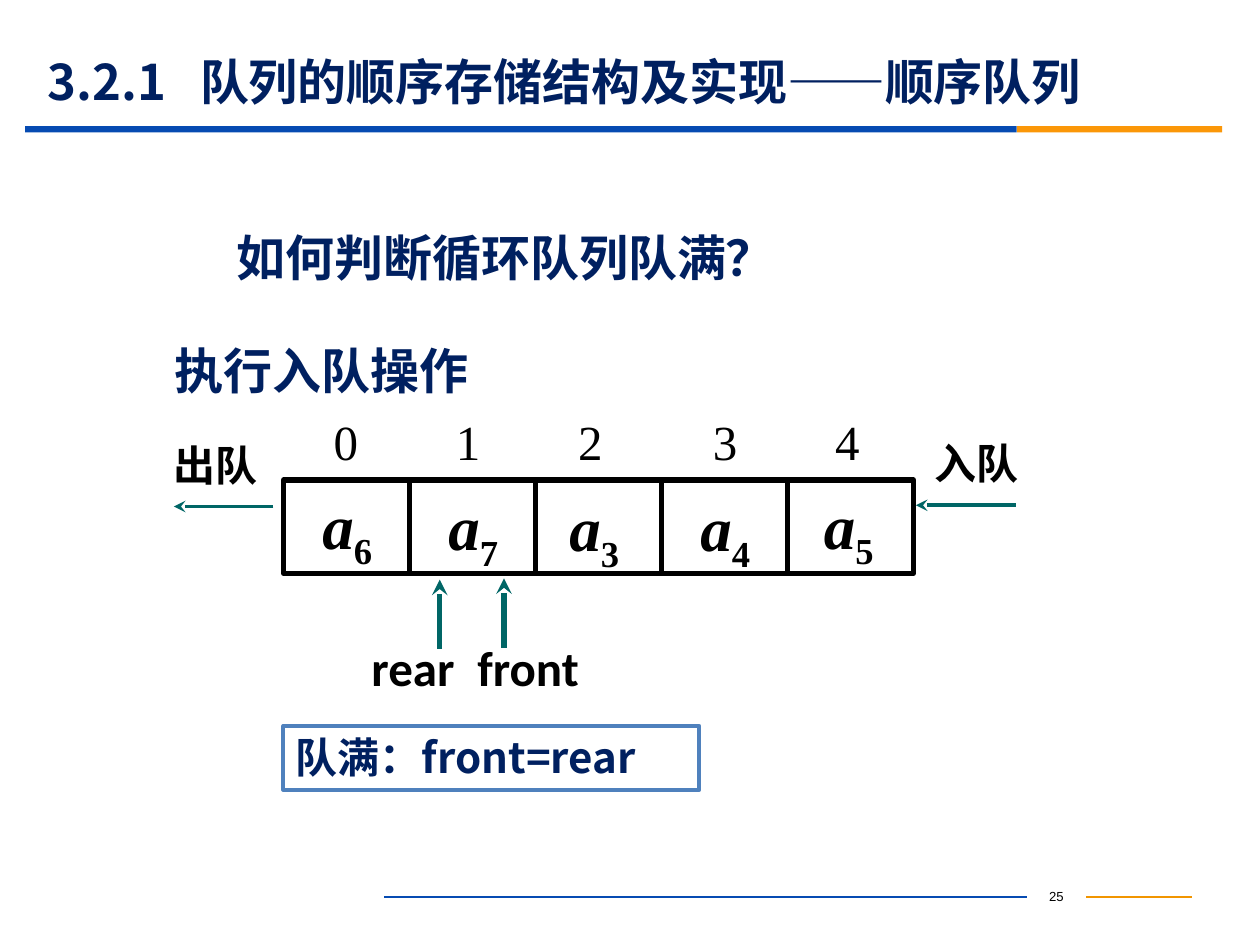
from dataclasses import dataclass
from lxml import etree
from pptx import Presentation
from pptx.dml.color import RGBColor
from pptx.enum.shapes import MSO_CONNECTOR as CONN, MSO_SHAPE as SHAPE
from pptx.enum.text import MSO_ANCHOR as ANCHOR, PP_ALIGN as ALIGN
from pptx.oxml.ns import qn
from pptx.util import Inches, Pt


@dataclass(frozen=True)
class Theme:
    """Colours, fonts and type sizes of the slide."""
    navy: str = "002060"
    blue: str = "064BB2"
    orange: str = "FB9708"
    amber: str = "F19500"
    teal: str = "006666"
    frame: str = "4F81BD"
    black: str = "000000"
    white: str = "FFFFFF"
    cjk: str = "Noto Sans CJK SC"
    serif: str = "Times New Roman"
    sans: str = "Calibri"
    small: str = "Arial"
    head: int = 28
    body: int = 24
    item: int = 36
    page: float = 7.5


T = Theme()


def write(sp, *parts, size=T.head, font=T.cjk, color=T.navy, bold=True,
          align=ALIGN.LEFT, anchor=ANCHOR.TOP, tabs=()):
    """Fill a shape with one paragraph; a part is a text or (text, italic, baseline)."""
    tf = sp.text_frame
    tf.word_wrap = True
    tf.vertical_anchor = anchor
    p = tf.paragraphs[0]
    p.alignment = align
    if tabs:
        tab_list = etree.SubElement(p._p.get_or_add_pPr(), qn("a:tabLst"))
        for pos in tabs:
            etree.SubElement(tab_list, qn("a:tab"), pos=str(Inches(pos)), algn="l")
    for part in parts:
        text, italic, baseline = (part, False, 0) if isinstance(part, str) else part
        r = p.add_run()
        r.text = text
        r.font.size, r.font.name = Pt(size), font
        r.font.bold, r.font.italic = bold, italic
        r.font.color.rgb = RGBColor.from_string(color)
        rPr = r._r.get_or_add_rPr()
        etree.SubElement(rPr, qn("a:ea"), typeface=T.cjk)
        if baseline:
            rPr.set("baseline", str(baseline))


def add_text(s, x, y, w, h, *parts, **fmt):
    """Add a text box with formatted text."""
    sp = s.shapes.add_textbox(Inches(x), Inches(y), Inches(w), Inches(h))
    write(sp, *parts, **fmt)


def add_rect(s, x, y, w, h, fill=None, line=None, width=0):
    """Add a flat rectangle."""
    sp = s.shapes.add_shape(SHAPE.RECTANGLE, Inches(x), Inches(y), Inches(w), Inches(h))
    sp.shadow.inherit = False
    if fill:
        sp.fill.solid()
        sp.fill.fore_color.rgb = RGBColor.from_string(fill)
    else:
        sp.fill.background()
    if line:
        sp.line.color.rgb = RGBColor.from_string(line)
        sp.line.width = Pt(width)
    else:
        sp.line.fill.background()
    return sp


def add_line(s, x1, y1, x2, y2, color, width, arrow=False):
    """Add a straight line, with an optional stealth head at its end."""
    c = s.shapes.add_connector(CONN.STRAIGHT, Inches(x1), Inches(y1), Inches(x2), Inches(y2))
    c.line.color.rgb = RGBColor.from_string(color)
    c.line.width = Pt(width)
    if arrow:
        etree.SubElement(c.line._get_or_add_ln(), qn("a:tailEnd"), type="stealth")
    etree.SubElement(c._element.spPr, qn("a:effectLst"))


def header(s, x, y, w):
    """Place the title above its two-colour rule."""
    split = 7.87
    add_rect(s, x, y + 0.57, split, 0.05, T.blue)
    add_rect(s, x + split, y + 0.57, w - split, 0.05, T.orange)
    add_text(s, x + 0.08, y, 9, 0.43, "3.2.1\t队列的顺序存储结构及实现——顺序队列",
             anchor=ANCHOR.MIDDLE, tabs=[1.21])


def footer(s, x, y, w):
    """Place the page number between two thin rules."""
    left, right = x + 5.1, x + 5.57
    add_line(s, x, y, left, y, T.blue, 0.75)
    add_line(s, right, y, x + w, y, T.amber, 0.75)
    add_text(s, left, y - 0.13, right - left, 0.25, "25", size=T.page, font=T.small,
             color=T.black, bold=False, align=ALIGN.CENTER, anchor=ANCHOR.MIDDLE)


def queue(s, x, y, w, h):
    """Draw the indexed cells of the queue with their elements."""
    items = [("6", 0.21, 0), ("7", 0.21, 0.01), ("3", 0.17, 0.02),
             ("4", 0.21, 0.02), ("5", 0.19, 0)]
    cell = w / len(items)
    for i in range(len(items)):
        add_rect(s, x + i * cell, y, cell, h, T.white, T.black, 3)
    for i, (sub, dx, dy) in enumerate(items):
        add_text(s, x + i * cell + dx, y + dy, 0.64, 0.7, ("a", True, 0),
                 (sub, False, -25000), size=T.item, font=T.serif, color=T.black)
    add_text(s, x + 0.3, y - 0.59, 4.68, 0.57, "0\t1\t2\t3\t4", font=T.serif,
             color=T.black, bold=False, tabs=[0.97, 1.94, 3.01, 3.98])


def flow(s, text, x, y, w, arrow_x, arrow_y):
    """Label a leftward arrow beside the queue."""
    add_text(s, x, y, w, 0.5, text, size=T.body, font=T.serif, color=T.black)
    add_line(s, arrow_x + 0.79, arrow_y, arrow_x, arrow_y, T.teal, 2.25, arrow=True)


def pointer(s, text, x, y, w, arrow_x, arrow_y):
    """Label an upward arrow that points at a cell."""
    add_text(s, x, y, w, 0.57, text, font=T.sans, color=T.black)
    add_line(s, arrow_x, arrow_y + 0.55, arrow_x, arrow_y, T.teal, 3, arrow=True)


def conclusion(s, x, y, w, h):
    """Place the framed condition for a full queue."""
    sp = add_rect(s, x, y, w, h, line=T.frame, width=2.25)
    write(sp, "队满：front=rear", size=T.body)


def main():
    """Build and save the slide."""
    prs = Presentation()
    prs.slide_width, prs.slide_height = Inches(10), Inches(7.5)
    s = prs.slides.add_slide(prs.slide_layouts[6])
    header(s, 0.2, 0.43, 9.5)
    add_text(s, 1.78, 1.76, 6.89, 0.57, "如何判断循环队列队满？")
    add_text(s, 1.29, 2.65, 3.4, 0.57, "执行入队操作")
    queue(s, 2.25, 3.81, 5, 0.74)
    flow(s, "出队", 1.28, 3.44, 1, 1.38, 4.02)
    flow(s, "入队", 7.32, 3.42, 1.08, 7.27, 4.01)
    pointer(s, "rear", 2.85, 5.01, 0.97, 3.49, 4.6)
    pointer(s, "front", 3.69, 5.01, 1.05, 4, 4.59)
    conclusion(s, 2.25, 5.76, 3.3, 0.51)
    footer(s, 3.05, 7.12, 6.41)
    prs.save("out.pptx")


if __name__ == "__main__":
    main()
